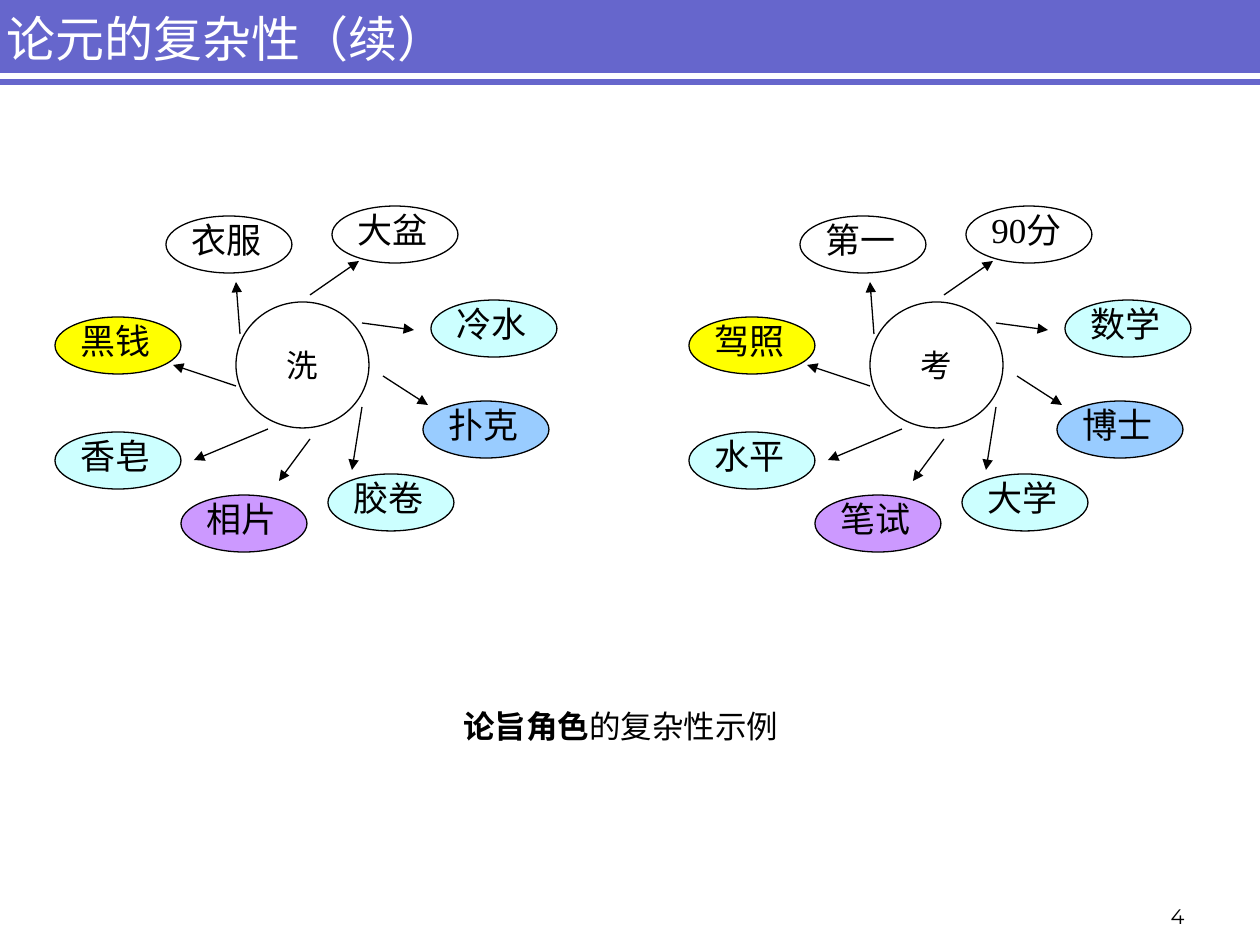
"""Build the slide on the complexity of verb arguments, with two radial word diagrams."""
from lxml.etree import SubElement
from pptx import Presentation
from pptx.dml.color import RGBColor
from pptx.enum.shapes import MSO_CONNECTOR, MSO_SHAPE
from pptx.enum.text import MSO_ANCHOR, PP_ALIGN
from pptx.oxml.ns import qn
from pptx.util import Pt

PX = 914400 / 126
COLORS = {
    "violet": "6666CC", "white": "FFFFFF", "black": "000000", "yellow": "FFFF00",
    "purple": "CC99FF", "blue": "99CCFF", "cyan": "CCFFFF",
}
FORMATS = {
    "title": {"name": "Arial", "size": Pt(28)},
    "number": {"name": "Montserrat", "size": Pt(12)},
    "verb": {"name": "Times New Roman", "size": Pt(18)},
    "word": {"name": "Times New Roman", "size": Pt(20)},
    "caption": {"name": "Arial", "size": Pt(18)},
    "strong": {"name": "Arial", "size": Pt(18), "bold": True},
}

deck = Presentation()
deck.slide_width, deck.slide_height = round(1260 * PX), round(945 * PX)
page = deck.slides.add_slide(deck.slide_layouts[6])


def place(kind, bounds, fill=None, spans=(), color="black", align=PP_ALIGN.LEFT,
          anchor=MSO_ANCHOR.TOP, wrap=True, outline=True):
    lengths = [round(value * PX) for value in bounds]
    if kind is None:
        box = page.shapes.add_textbox(*lengths)
    else:
        box = page.shapes.add_shape(kind, *lengths)
        box.shadow.inherit = False
        box.fill.solid()
        box.fill.fore_color.rgb = RGBColor.from_string(COLORS[fill])
        if outline:
            box.line.color.rgb = RGBColor.from_string(COLORS["black"])
            box.line.width = Pt(0.75)
        else:
            box.line.fill.background()
    frame = box.text_frame
    frame.word_wrap = wrap
    frame.vertical_anchor = anchor
    para = frame.paragraphs[0]
    para.alignment = align
    for text, style in spans:
        span = para.add_run()
        span.text = text
        span.font.color.rgb = RGBColor.from_string(COLORS[color])
        for key, value in FORMATS[style].items():
            setattr(span.font, key, value)


def connect(ends, color, width, arrow=False):
    line = page.shapes.add_connector(
        MSO_CONNECTOR.STRAIGHT, *[round(value * PX) for value in ends])
    line.line.color.rgb = RGBColor.from_string(COLORS[color])
    line.line.width = Pt(width)
    if arrow:
        SubElement(line.line._get_or_add_ln(), qn("a:tailEnd"), type="triangle")
    SubElement(line._element.spPr, qn("a:effectLst"))


place(MSO_SHAPE.RECTANGLE, (-5, -4, 1265, 89), "violet", outline=False)
connect((-5, 76, 1260, 76), "white", 3)
place(None, (935, 872, 262, 63), spans=[("4", "number")],
      align=PP_ALIGN.RIGHT, anchor=MSO_ANCHOR.BOTTOM)
place(None, (-6, -3, 1002, 81), spans=[("论元的复杂性（续）", "title")],
      color="white", anchor=MSO_ANCHOR.MIDDLE)

bubbles = [
    (166, 216, "white"), (332, 206, "white"), (55, 317, "yellow"), (181, 495, "purple"),
    (423, 401, "blue"), (431, 300, "cyan"), (328, 474, "cyan"), (55, 432, "cyan"),
]
arrows = [
    (240, 334, 236, 282), (310, 295, 359, 261), (362, 323, 414, 330), (383, 376, 428, 405),
    (310, 439, 279, 481), (236, 386, 173, 365), (268, 429, 194, 460), (362, 407, 352, 470),
]
diagrams = [
    (634, "考", ["第一", "90分", "驾照", "笔试", "博士", "数学", "大学", "水平"]),
    (0, "洗", ["衣服", "大盆", "黑钱", "相片", "扑克", "冷水", "胶卷", "香皂"]),
]
for shift, verb, words in diagrams:
    place(MSO_SHAPE.OVAL, (236 + shift, 302, 133, 126), "white", [(verb, "verb")],
          align=PP_ALIGN.CENTER, anchor=MSO_ANCHOR.MIDDLE, wrap=False)
    for (left, top, fill), word in zip(bubbles, words):
        place(MSO_SHAPE.OVAL, (left + shift, top, 126, 57), fill)
        place(None, (left + shift + 13, top - 4, 118, 55), spans=[(word, "word")])
    for x1, y1, x2, y2 in arrows:
        connect((x1 + shift, y1, x2 + shift, y2), "black", 0.75, arrow=True)

place(None, (451, 701, 417, 50),
      spans=[("论旨角色", "strong"), ("的复杂性示例", "caption")])

deck.save("out.pptx")
